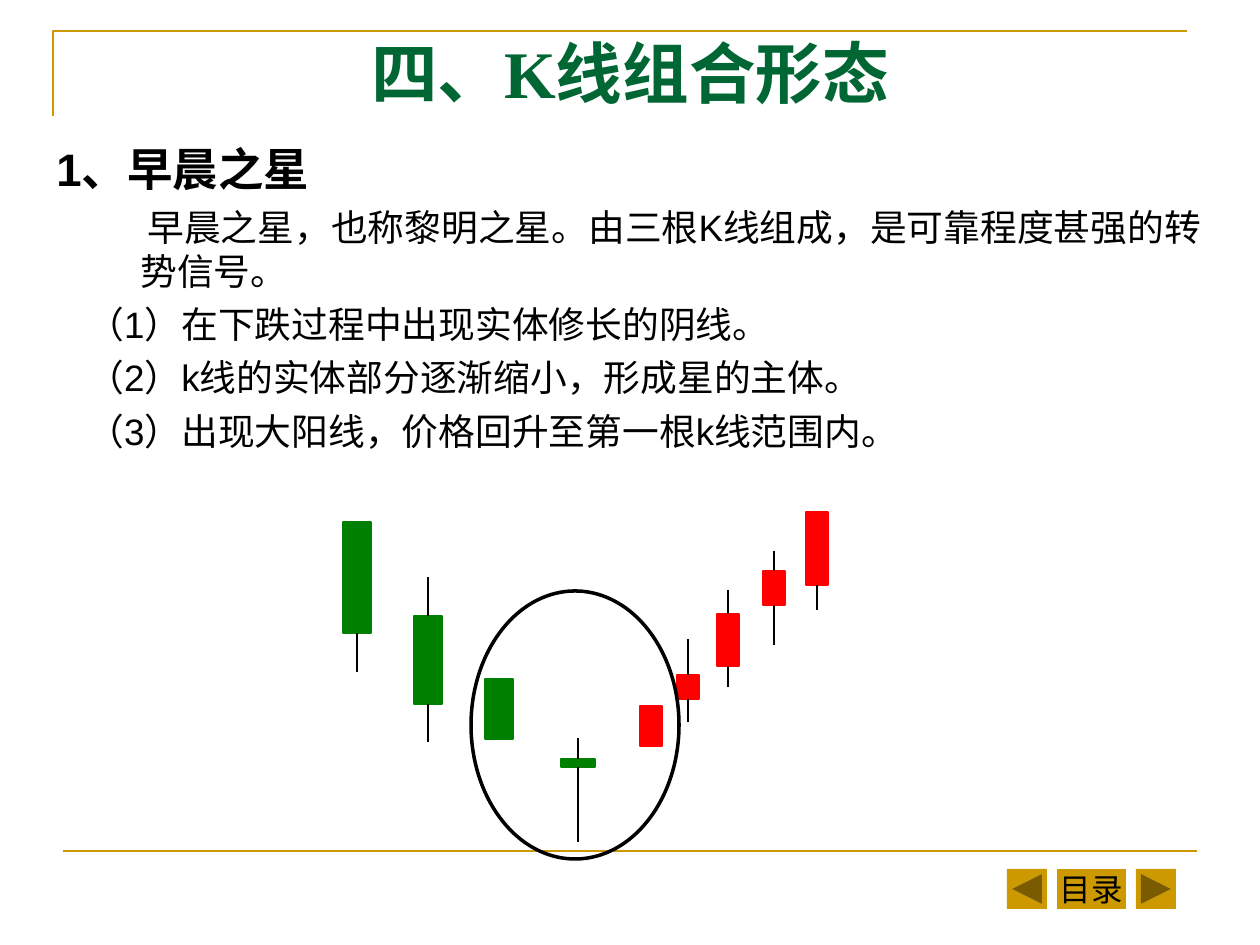
from pptx import Presentation
from pptx.dml.color import RGBColor
from pptx.enum.shapes import MSO_CONNECTOR, MSO_SHAPE
from pptx.enum.text import MSO_ANCHOR, PP_ALIGN
from pptx.oxml.xmlchemy import OxmlElement
from pptx.util import Pt

RECT, OVAL = MSO_SHAPE.RECTANGLE, MSO_SHAPE.OVAL
BACK = MSO_SHAPE.ACTION_BUTTON_BACK_OR_PREVIOUS
NEXT = MSO_SHAPE.ACTION_BUTTON_FORWARD_OR_NEXT
BUTTON = MSO_SHAPE.ACTION_BUTTON_CUSTOM
STRAIGHT = MSO_CONNECTOR.STRAIGHT
LEFT, CENTER = PP_ALIGN.LEFT, PP_ALIGN.CENTER
MIDDLE = MSO_ANCHOR.MIDDLE
PX = 914400 / 126
GOLD, GREEN, RED, BLACK = "CC9900", "008000", "FF0000", "000000"


def paint(fmt, color):
    fmt.solid()
    fmt.fore_color.rgb = RGBColor.from_string(color)


def write(p, text, size, font="Arial", color=BLACK, bold=False, align=LEFT, before=0, margin=0, indent=0):
    pPr = p._p.get_or_add_pPr()
    pPr.set("marL", str(round(margin * PX)))
    pPr.set("indent", str(round(indent * PX)))
    p.alignment = align
    p.space_before = Pt(before)
    r = p.add_run()
    r.text = text
    r.font.size, r.font.name, r.font.bold = Pt(size), font, bold
    paint(r.font.fill, color)


prs = Presentation()
prs.slide_width, prs.slide_height = round(1260 * PX), round(945 * PX)
s = prs.slides.add_slide(prs.slide_layouts[6])

fb = s.shapes.build_freeform(53, 116, scale=PX)
fb.add_line_segments([(53, 31), (1187, 31)], close=False)
frame = fb.convert_to_shape()
frame.shadow.inherit = False
frame.fill.background()
paint(frame.line.fill, GOLD)
frame.line.width = Pt(1.5)

footer = s.shapes.add_connector(STRAIGHT, *[round(v * PX) for v in (63, 851, 1197, 851)])
paint(footer.line.fill, GOLD)
footer.line.width = Pt(1.5)
footer._element.spPr.append(OxmlElement("a:effectLst"))

for kind, x, w, label in [(BUTTON, 1057, 69, "目录"), (BACK, 1007, 40, ""), (NEXT, 1136, 40, "")]:
    sp = s.shapes.add_shape(kind, *[round(v * PX) for v in (x, 869, w, 40)])
    sp.shadow.inherit = False
    paint(sp.fill, GOLD)
    sp.line.fill.background()
    if label:
        tf = sp.text_frame
        tf.word_wrap = False
        tf.vertical_anchor = MIDDLE
        write(tf.paragraphs[0], label, 18, align=CENTER)

tf = s.shapes.add_textbox(*[round(v * PX) for v in (44, 135, 1181, 745)]).text_frame
tf.word_wrap = True
write(tf.paragraphs[0], "1、早晨之星", 26, bold=True)
write(tf.add_paragraph(), "早晨之星，也称黎明之星。由三根K线组成，是可靠程度甚强的转势信号。", 21,
      before=5.2, margin=84, indent=7)
for text in [
    "（1）在下跌过程中出现实体修长的阴线。",
    "（2）k线的实体部分逐渐缩小，形成星的主体。",
    "（3）出现大阳线，价格回升至第一根k线范围内。",
]:
    write(tf.add_paragraph(), text, 21, before=5.2, margin=31)

candles = [
    (343, 522, 28, 111, GREEN, None, 672),
    (414, 616, 28, 88, GREEN, 577, 742),
    (485, 679, 28, 60, GREEN, None, None),
    (561, 759, 34, 8, GREEN, 738, 842),
    (640, 706, 22, 40, RED, None, None),
    (677, 675, 22, 24, RED, 639, 722),
    (717, 614, 22, 52, RED, 590, 687),
    (763, 571, 22, 34, RED, 551, 645),
    (806, 512, 22, 73, RED, None, 610),
]
for x, y, w, h, color, high, low in candles:
    body = s.shapes.add_shape(RECT, *[round(v * PX) for v in (x, y, w, h)])
    body.shadow.inherit = False
    paint(body.fill, color)
    paint(body.line.fill, color)
    body.line.width = Pt(0.75)
    mid = x + w // 2
    for site, start, end in [(0, y, high), (2, y + h, low)]:
        if end is None:
            continue
        wick = s.shapes.add_connector(STRAIGHT, *[round(v * PX) for v in (mid, start, mid, end)])
        wick.begin_connect(body, site)
        paint(wick.line.fill, BLACK)
        wick.line.width = Pt(0.75)
        wick._element.spPr.append(OxmlElement("a:effectLst"))

tf = s.shapes.add_textbox(*[round(v * PX) for v in (63, 38, 1134, 67)]).text_frame
tf.word_wrap = True
tf.vertical_anchor = MIDDLE
write(tf.paragraphs[0], "四、K线组合形态", 38, font="Times New Roman", color="006633", bold=True, align=CENTER)

ring = s.shapes.add_shape(OVAL, *[round(v * PX) for v in (471, 591, 208, 268)])
ring.shadow.inherit = False
ring.fill.background()
paint(ring.line.fill, BLACK)
ring.line.width = Pt(2)

prs.save("out.pptx")
